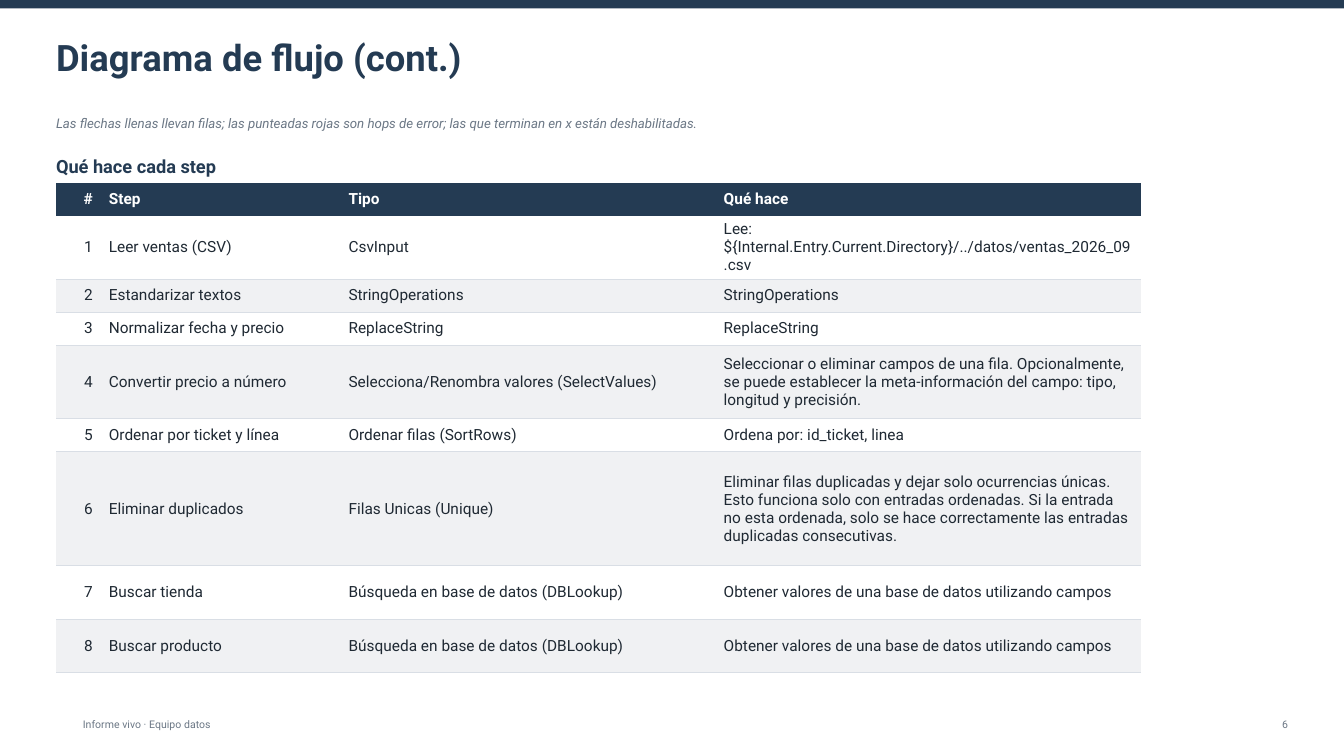
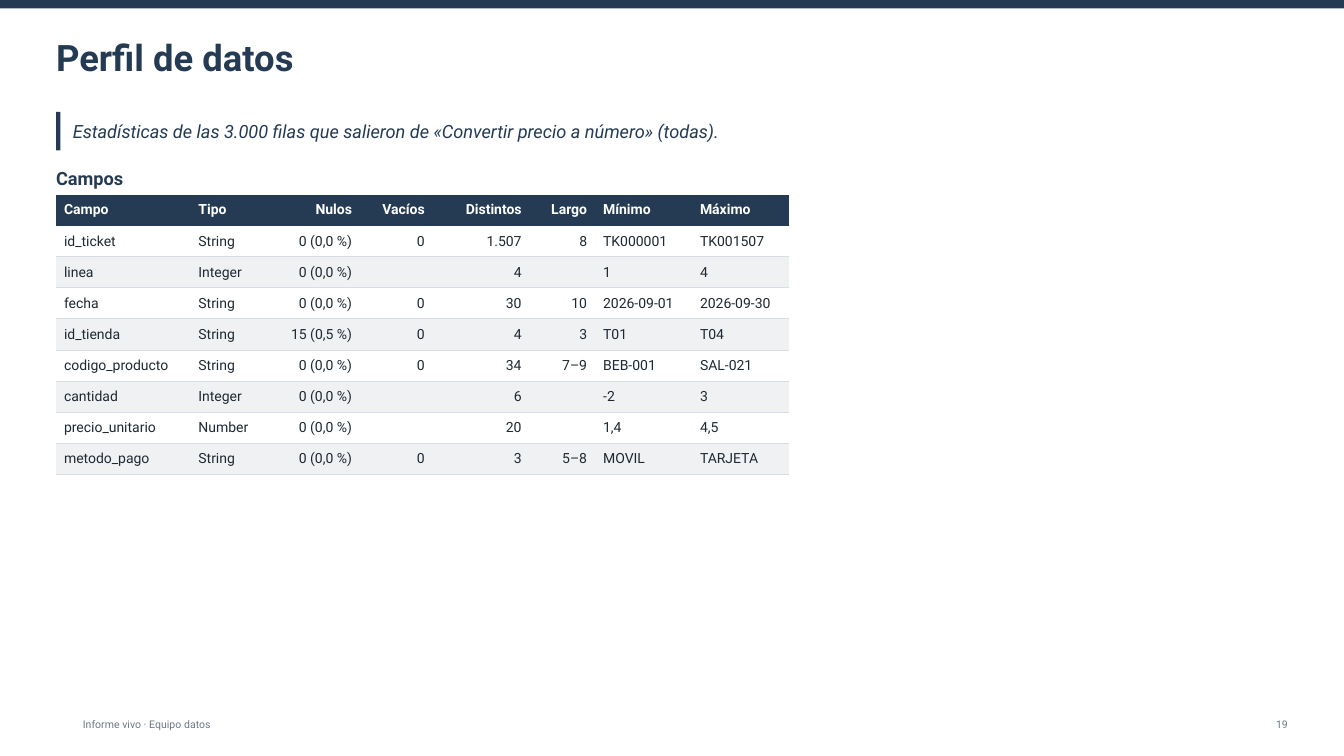
from lxml import etree
from pptx import Presentation
from pptx.dml.color import RGBColor
from pptx.enum.shapes import MSO_SHAPE
from pptx.enum.text import MSO_ANCHOR, PP_ALIGN
from pptx.oxml.ns import qn
from pptx.util import Inches, Pt

RECTANGLE = MSO_SHAPE.RECTANGLE
TOP, MIDDLE = MSO_ANCHOR.TOP, MSO_ANCHOR.MIDDLE
ALIGN = {"l": PP_ALIGN.LEFT, "r": PP_ALIGN.RIGHT}

FONT = "Roboto"
COLORS = {
    "navy": "243B53",
    "gray": "6B7785",
    "ink": "1F2933",
    "white": "FFFFFF",
    "band": "F0F1F3",
    "rule": "D9DEE5",
}
PLAIN_TABLE_STYLE = "{2D5ABB26-0587-4C30-8999-92F81FD0307C}"

# The page is a grid of 24 columns and 27 rows; one column is left free on each side.
WIDTH, HEIGHT = Inches(13.33), Inches(7.5)
COLUMN, ROW = WIDTH / 24, HEIGHT / 27
CONTENT = 22

FOOTER = "Informe vivo · Equipo datos"

PAGES = [
    {
        "title": "Diagrama de flujo (cont.)",
        "number": "6",
        "bars": [],
        "intro": "Las flechas llenas llevan filas; las punteadas rojas son hops de error; "
                 "las que terminan en x están deshabilitadas.",
        "intro_place": (1, 4, CONTENT, 0.94),
        "intro_style": {"size": 9.5, "color": "gray", "anchor": TOP},
        "heading": "Qué hace cada step",
        "heading_row": 5.44,
        "table_row": 6.52,
        "size": 11,
        "aligns": "rlll",
        "columns": [0.8, 4.28, 6.7, 7.6],
        "rows": [1.18, 1.91, 1.18, 1.18, 2.63, 1.18, 4.07, 1.91, 1.91],
        "cells": [
            ["#", "Step", "Tipo", "Qué hace"],
            ["1", "Leer ventas (CSV)", "CsvInput",
             "Lee: ${Internal.Entry.Current.Directory}/../datos/ventas_2026_09.csv"],
            ["2", "Estandarizar textos", "StringOperations", "StringOperations"],
            ["3", "Normalizar fecha y precio", "ReplaceString", "ReplaceString"],
            ["4", "Convertir precio a número", "Selecciona/Renombra valores (SelectValues)",
             "Seleccionar o eliminar campos de una fila. Opcionalmente, se puede establecer "
             "la meta-información del campo: tipo, longitud y precisión."],
            ["5", "Ordenar por ticket y línea", "Ordenar filas (SortRows)",
             "Ordena por: id_ticket, linea"],
            ["6", "Eliminar duplicados", "Filas Unicas (Unique)",
             "Eliminar filas duplicadas y dejar solo ocurrencias únicas. Esto funciona solo "
             "con entradas ordenadas. Si la entrada no esta ordenada, solo se hace "
             "correctamente las entradas duplicadas consecutivas."],
            ["7", "Buscar tienda", "Búsqueda en base de datos (DBLookup)",
             "Obtener valores de una base de datos utilizando campos"],
            ["8", "Buscar producto", "Búsqueda en base de datos (DBLookup)",
             "Obtener valores de una base de datos utilizando campos"],
        ],
    },
    {
        "title": "Perfil de datos",
        "number": "19",
        "bars": [(1, 4, 0.08, 1.37)],
        "intro": "Estadísticas de las 3.000 filas que salieron de "
                 "«Convertir precio a número» (todas).",
        "intro_place": (1.3, 4, 21.7, 1.37),
        "intro_style": {"size": 13, "color": "navy", "anchor": MIDDLE},
        "heading": "Campos",
        "heading_row": 5.88,
        "table_row": 6.95,
        "size": 10,
        "aligns": "llrrrrll",
        "columns": [2.4, 1.3, 1.73, 1.3, 1.73, 1.17, 1.73, 1.73],
        "rows": [1.11] * 9,
        "cells": [
            ["Campo", "Tipo", "Nulos", "Vacíos", "Distintos", "Largo", "Mínimo", "Máximo"],
            ["id_ticket", "String", "0 (0,0 %)", "0", "1.507", "8", "TK000001", "TK001507"],
            ["linea", "Integer", "0 (0,0 %)", "", "4", "", "1", "4"],
            ["fecha", "String", "0 (0,0 %)", "0", "30", "10", "2026-09-01", "2026-09-30"],
            ["id_tienda", "String", "15 (0,5 %)", "0", "4", "3", "T01", "T04"],
            ["codigo_producto", "String", "0 (0,0 %)", "0", "34", "7–9", "BEB-001", "SAL-021"],
            ["cantidad", "Integer", "0 (0,0 %)", "", "6", "", "-2", "3"],
            ["precio_unitario", "Number", "0 (0,0 %)", "", "20", "", "1,4", "4,5"],
            ["metodo_pago", "String", "0 (0,0 %)", "0", "3", "5–8", "MOVIL", "TARJETA"],
        ],
    },
]


def write(frame, text, size, color, bold=False, italic=False, align="l"):
    """Put one formatted paragraph into a text frame."""
    frame.text = text
    para = frame.paragraphs[0]
    para.alignment = ALIGN[align]
    for span in para.runs:
        span.font.name = FONT
        span.font.size = Pt(size)
        span.font.bold = bold
        span.font.italic = italic
        span.font.color.rgb = RGBColor.from_string(COLORS[color])
    if not text:
        etree.SubElement(para._p, qn("a:endParaRPr"), sz=str(size * 100))


def add_text(page, place, text, size, color, anchor=MIDDLE, inset=0.03, **style):
    """Add a text box; place is left, top, width, height in grid units."""
    left, top, width, height = place
    box = page.shapes.add_textbox(
        int(left * COLUMN), int(top * ROW), int(width * COLUMN), int(height * ROW))
    frame = box.text_frame
    frame.word_wrap = True
    frame.vertical_anchor = anchor
    frame.margin_left = frame.margin_right = 0
    frame.margin_top = frame.margin_bottom = Inches(inset)
    write(frame, text, size, color, **style)


deck = Presentation()
deck.slide_width, deck.slide_height = WIDTH, HEIGHT
blank = deck.slide_layouts[6]

for content in PAGES:
    page = deck.slides.add_slide(blank)
    add_text(page, (1, 0.8, CONTENT, 2.5), content["title"], 26, "navy", inset=0.05, bold=True)

    for left, top, width, height in [(0, 0, 24, 0.3)] + content["bars"]:
        bar = page.shapes.add_shape(
            RECTANGLE, int(left * COLUMN), int(top * ROW), int(width * COLUMN), int(height * ROW))
        bar.shadow.inherit = False
        bar.fill.solid()
        bar.fill.fore_color.rgb = RGBColor.from_string(COLORS["navy"])
        bar.line.fill.background()

    add_text(page, (1.48, 25.4, 10, 0.9), FOOTER, 7.5, "gray")
    add_text(page, (20, 25.4, 3, 0.9), content["number"], 7.5, "gray", align="r")
    add_text(page, content["intro_place"], content["intro"], italic=True, **content["intro_style"])
    add_text(page, (1, content["heading_row"], CONTENT, 1), content["heading"], 13, "navy",
             anchor=TOP, bold=True)

    columns, rows = content["columns"], content["rows"]
    holder = page.shapes.add_table(
        len(rows), len(columns), int(COLUMN), int(content["table_row"] * ROW),
        int(sum(columns) * COLUMN), int(sum(rows) * ROW))
    table = holder.table
    table.first_row = table.horz_banding = False
    table._tbl.tblPr.find(qn("a:tableStyleId")).text = PLAIN_TABLE_STYLE
    for column, width in zip(table.columns, columns):
        column.width = int(width * COLUMN)
    for row, height in zip(table.rows, rows):
        row.height = int(height * ROW)

    for row_index, texts in enumerate(content["cells"]):
        header = row_index == 0
        if header:
            fill, color, rule = "navy", "white", "navy"
        else:
            fill, color, rule = ("white" if row_index % 2 else "band"), "ink", "rule"
        for column_index, text in enumerate(texts):
            cell = table.cell(row_index, column_index)
            cell.vertical_anchor = MIDDLE
            cell.margin_left = cell.margin_right = Inches(0.08)
            cell.margin_top = cell.margin_bottom = Inches(0.04)
            cell.fill.solid()
            cell.fill.fore_color.rgb = RGBColor.from_string(COLORS[fill])
            write(cell.text_frame, text, content["size"], color, bold=header,
                  align=content["aligns"][column_index])
            border = etree.Element(qn("a:lnB"), w=str(Pt(0.75)))
            border_fill = etree.SubElement(border, qn("a:solidFill"))
            etree.SubElement(border_fill, qn("a:srgbClr"), val=COLORS[rule])
            cell._tc.tcPr.insert(0, border)

deck.save("out.pptx")
